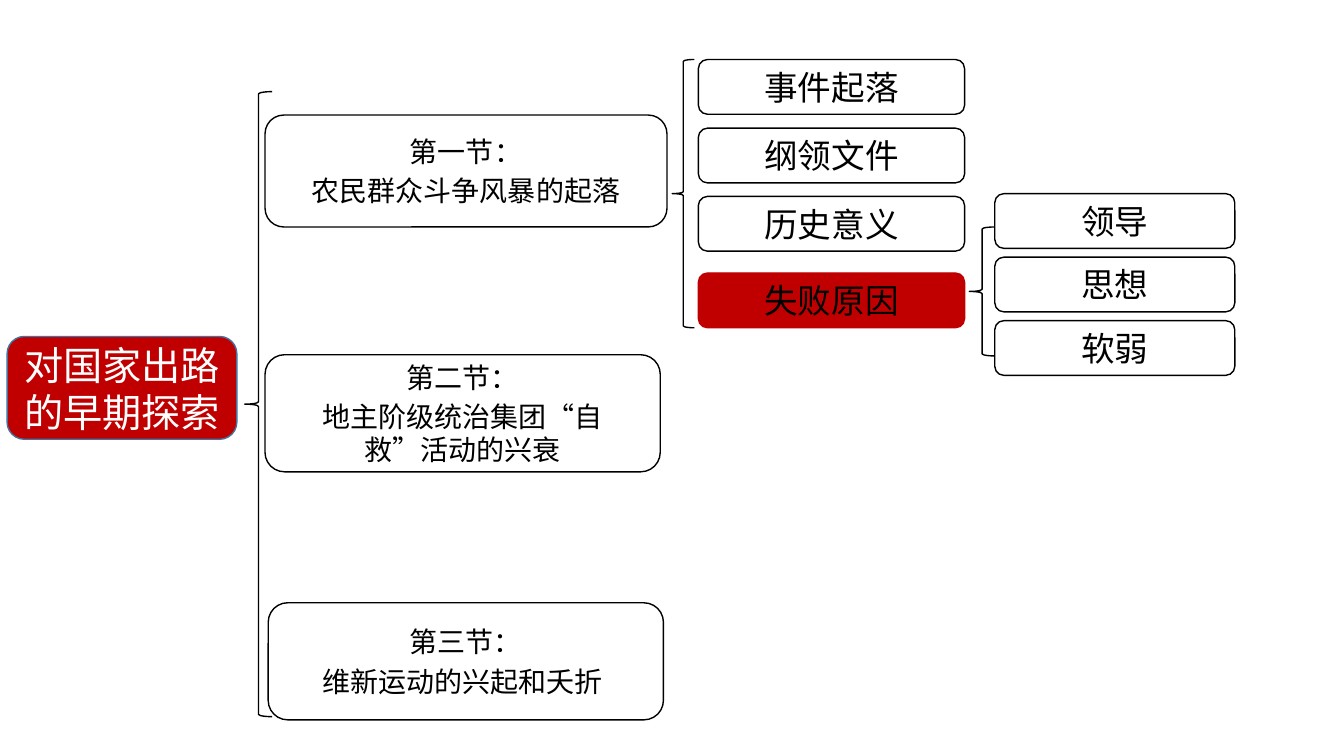
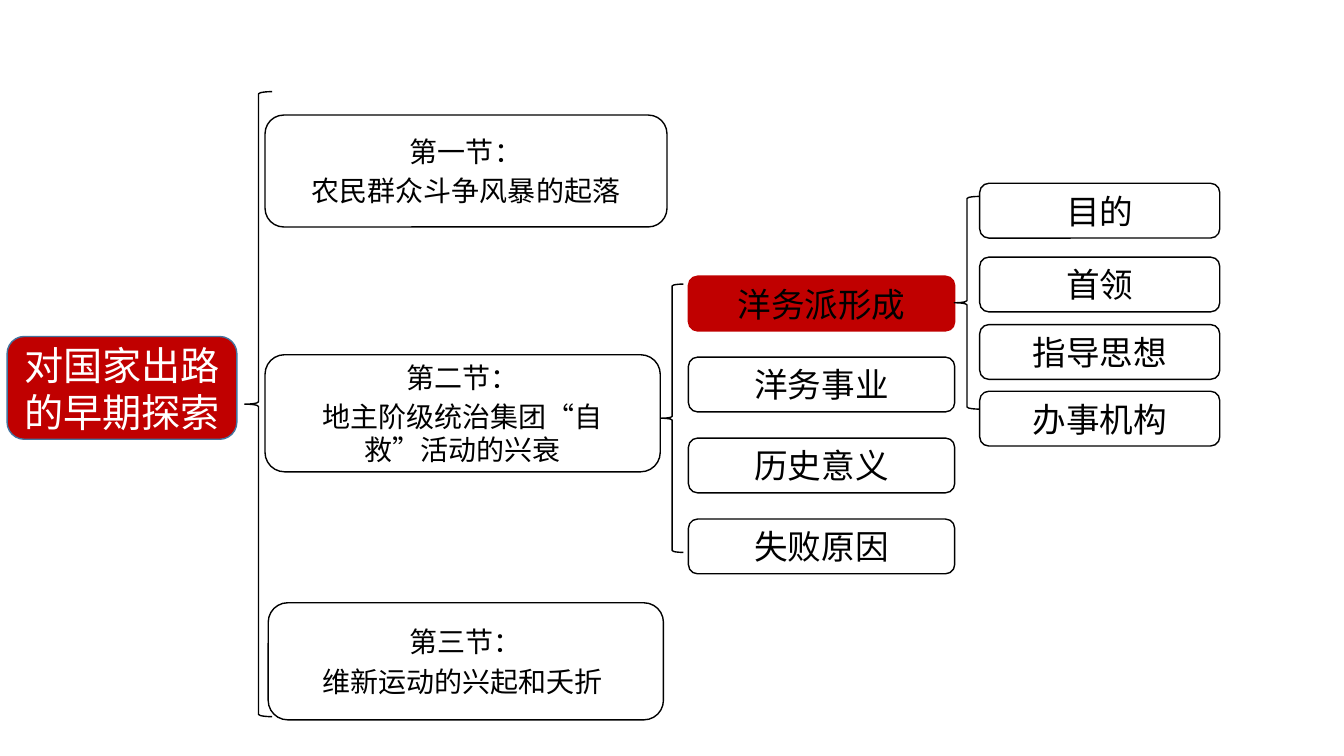
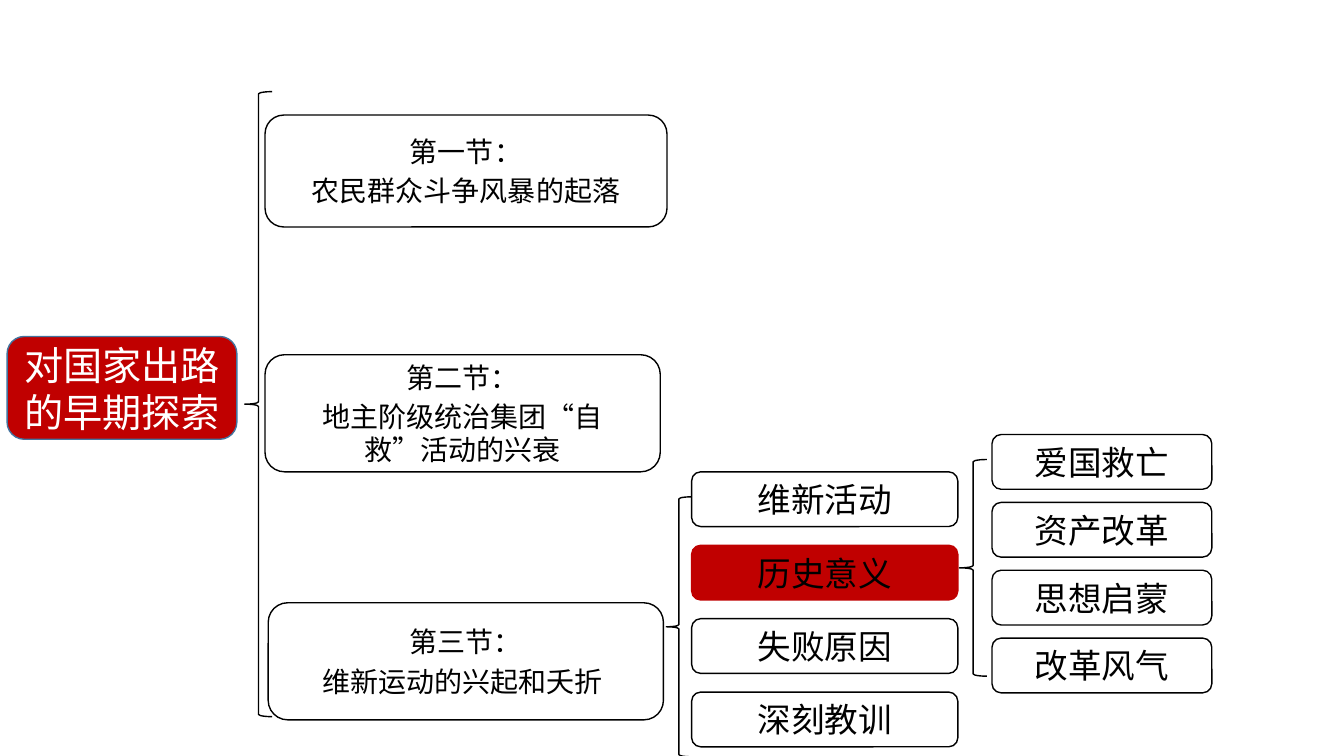
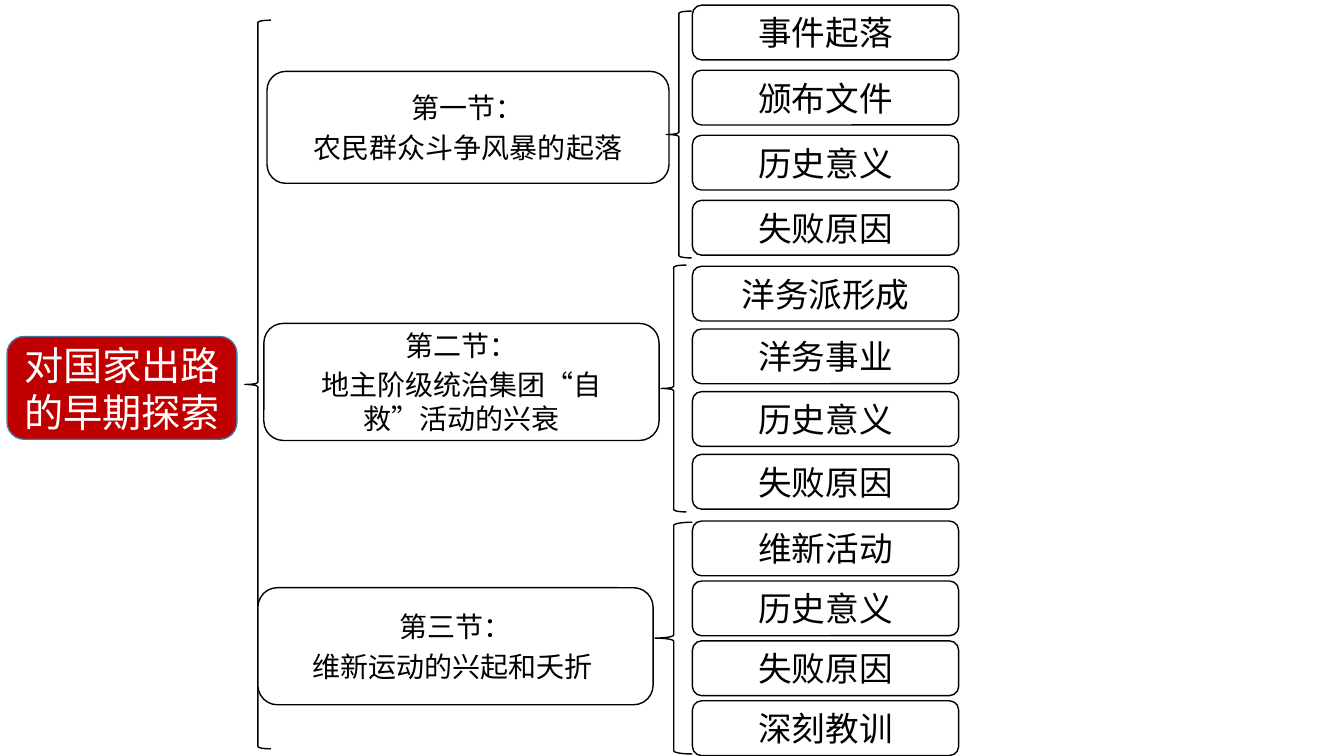
from lxml.etree import SubElement
from pptx import Presentation
from pptx.dml.color import RGBColor
from pptx.enum.shapes import MSO_SHAPE
from pptx.enum.text import MSO_ANCHOR, PP_ALIGN
from pptx.oxml.ns import qn
from pptx.util import Cm, Pt

FONT = "Noto Sans CJK SC"
RED, BLUE, BLACK, WHITE = "C00000", "43739E", "000000", "FFFFFF"
ITEM_H = 1.38
ROOT = "对国家出路的早期探索"
HEADS = [
    ("第一节：\n农民群众斗争风暴的起落", 10.13, 2.82),
    ("第二节：\n地主阶级统治集团“自救”活动的兴衰", 9.96, 2.95),
    ("第三节：\n维新运动的兴起和夭折 ", 9.96, 2.95),
]
SPOTS = [(6.68, 2.9), (6.68, 8.94), (6.76, 15.19)]


def paint(part, color):
    """Give a fill or line format a solid colour."""
    part.solid()
    part.fore_color.rgb = RGBColor.from_string(color)


def write(shape, text, size=24, color=BLACK, gap=0):
    """Write centred lines of text into a shape."""
    frame = shape.text_frame
    frame.word_wrap = True
    frame.vertical_anchor = MSO_ANCHOR.MIDDLE
    for i, line in enumerate(text.split("\n")):
        para = frame.paragraphs[0] if i == 0 else frame.add_paragraph()
        para.alignment = PP_ALIGN.CENTER
        para.space_before = Pt(gap if i else 0)
        run = para.add_run()
        run.text = line
        run.font.size = Pt(size)
        run.font.name = FONT
        paint(run.font.fill, color)
        props = run.font._element
        props.set("lang", "zh-CN")
        SubElement(props, qn("a:ea")).set("typeface", FONT)


def draw(slide, kind, box, fill=None, line=BLACK):
    """Add a preset shape in a box given in centimetres."""
    shape = slide.shapes.add_shape(kind, *map(Cm, box))
    shape.shadow.inherit = False
    if fill:
        paint(shape.fill, fill)
    else:
        shape.fill.background()
    paint(shape.line.fill, line)
    shape.line.width = Pt(1)
    return shape


def card(slide, text, box, fill=None, line=BLACK, **style):
    """Add a rounded box with text."""
    write(draw(slide, MSO_SHAPE.ROUNDED_RECTANGLE, box, fill, line), text, **style)


def even(top, pitch, count=4):
    """List the tops of evenly spaced boxes."""
    return [top + i * pitch for i in range(count)]


def trunk(slide, brace=(6.17, 2.31, 0.69, 15.75), spots=SPOTS):
    """Place the root topic, its brace and the three sections."""
    card(slide, ROOT, (0.18, 8.48, 5.79, 2.59), RED, BLUE, size=28, color=WHITE)
    draw(slide, MSO_SHAPE.LEFT_BRACE, brace)
    for (text, wide, high), spot in zip(HEADS, spots):
        card(slide, text, (*spot, wide, high), WHITE, size=20, gap=4)


def branch(slide, brace, left, tops, names, wide=6.71, hot=None):
    """Place a brace and its column of items, one of them in red."""
    draw(slide, MSO_SHAPE.LEFT_BRACE, brace)
    for top, name in zip(tops, names.split()):
        fill, line = (RED, RED) if name == hot else (None, BLACK)
        card(slide, name, (left, top, wide, ITEM_H), fill, line)


def main():
    """Build the four mind maps."""
    deck = Presentation()
    deck.slide_width, deck.slide_height = Cm(33.87), Cm(19.05)
    paint(deck.slide_master.background.fill, WHITE)
    one, two, three, four = [
        deck.slides.add_slide(deck.slide_layouts[6]) for _ in range(4)
    ]

    trunk(one)
    branch(one, (16.94, 1.5, 0.56, 6.76), 17.6, [1.5, 3.23, 4.95, 6.88],
           "事件起落 纲领文件 历史意义 失败原因", hot="失败原因")
    branch(one, (24.43, 5.72, 0.64, 3.25), 25.07, even(4.88, 1.6, 3),
           "领导 思想 软弱", wide=6.05)

    trunk(two)
    branch(two, (16.66, 7.16, 0.56, 6.76), 17.35, even(6.96, 2.04),
           "洋务派形成 洋务事业 历史意义 失败原因", hot="洋务派形成")
    branch(two, (24.05, 4.95, 0.64, 5.36), 24.69, [4.62, 6.48, 8.18, 9.86],
           "目的 首领 指导思想 办事机构", wide=6.05)

    trunk(three)
    branch(three, (16.79, 12.52, 0.64, 6.55), 17.43, even(11.89, 1.85),
           "维新活动 历史意义 失败原因 深刻教训", hot="历史意义")
    branch(three, (24.18, 11.58, 0.69, 5.46), 25, even(10.95, 1.71),
           "爱国救亡 资产改革 思想启蒙 改革风气", wide=5.54)

    trunk(four, (6.17, 0.51, 0.66, 18.36), [(6.73, 1.8), (6.65, 8.15), (6.5, 14.81)])
    branch(four, (16.79, 0.28, 0.64, 6.22), 17.45, even(0.13, 1.64),
           "事件起落 颁布文件 历史意义 失败原因")
    branch(four, (16.66, 6.68, 0.64, 6.22), 17.45, even(6.71, 1.58),
           "洋务派形成 洋务事业 历史意义 失败原因")
    branch(four, (16.51, 13.16, 0.94, 5.84), 17.45, even(13.13, 1.51),
           "维新活动 历史意义 失败原因 深刻教训")

    deck.save("out.pptx")


if __name__ == "__main__":
    main()
